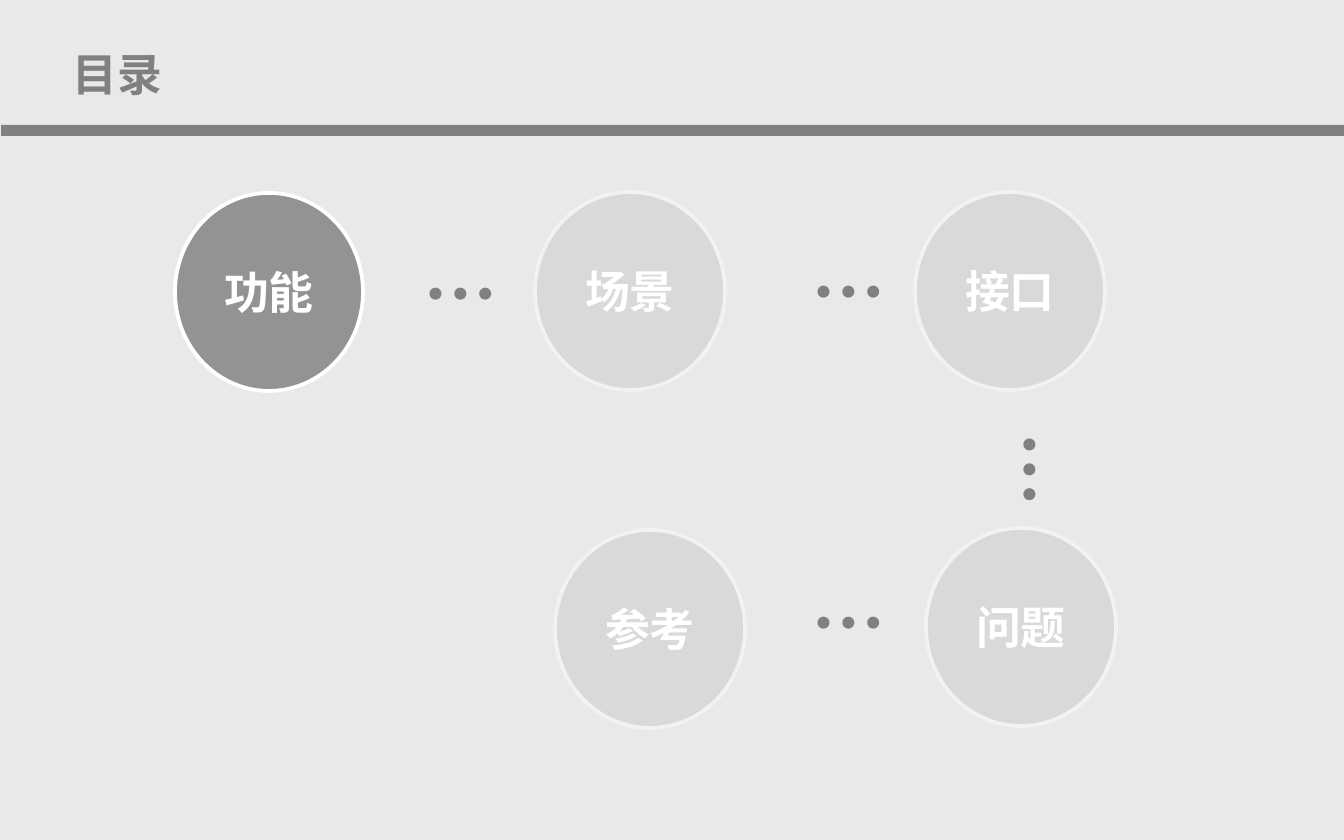
import pptx
import pptx.util
import pptx.dml.color
import pptx.enum.lang
import pptx.enum.shapes
import pptx.enum.text
import pptx.oxml.ns
import lxml.etree

WIDTH, HEIGHT = 1344, 840
EMU_PER_PIXEL = 9144000 / WIDTH
CJK_FONT = "Noto Sans CJK SC"
GRAY, WHITE, PALE, EDGE = "808080", "FFFFFF", "D9D9D9", "F2F2F2"
BACKGROUND = "E9E9E9"

TITLE = ("目录", (1, 47, 233, 54))
RULE = (1, 125, 1343, 11)
# Text, box, fill, outline, opacity in percent
CIRCLES = [
    ("功能", (175, 193, 188, 198), GRAY, WHITE, 81),
    ("场景", (535, 192, 190, 198), PALE, EDGE, 100),
    ("接口", (915, 192, 190, 198), PALE, EDGE, 100),
    ("问题", (926, 528, 190, 198), PALE, EDGE, 100),
    ("参考", (555, 530, 190, 198), PALE, EDGE, 100),
]
# Left, top, rotation
DOTS = [(410, 241, 0), (798, 239, 0), (988, 411, 90), (798, 570, 0)]
DOTS_SIZE = (86, 103)


def emu(box):
    """Turn pixel lengths into EMU."""
    return [pptx.util.Emu(round(length * EMU_PER_PIXEL)) for length in box]


def color(value):
    """Turn a hex string into a colour."""
    return pptx.dml.color.RGBColor.from_string(value)


def write(shape, text, size, font_name, font_color):
    """Put one bold, centred paragraph into a shape."""
    paragraph = shape.text_frame.paragraphs[0]
    paragraph.text = text
    paragraph.alignment = pptx.enum.text.PP_ALIGN.CENTER
    font = paragraph.font
    font.name, font.size, font.bold = font_name, pptx.util.Pt(size), True
    font.color.rgb = color(font_color)
    font.language_id = pptx.enum.lang.MSO_LANGUAGE_ID.SIMPLIFIED_CHINESE
    properties = paragraph._p.pPr.find(pptx.oxml.ns.qn("a:defRPr"))
    east_asian = lxml.etree.Element(pptx.oxml.ns.qn("a:ea"), typeface=CJK_FONT)
    properties.find(pptx.oxml.ns.qn("a:latin")).addnext(east_asian)


def add_shape(slide, kind, box, fill, opacity=100):
    """Add a filled preset shape without outline or shadow."""
    shape = slide.shapes.add_shape(kind, *emu(box))
    shape.shadow.inherit = False
    shape.fill.solid()
    shape.fill.fore_color.rgb = color(fill)
    shape.line.fill.background()
    if opacity < 100:
        fill_color = shape._element.spPr.find(
            pptx.oxml.ns.qn("a:solidFill"))[0]
        lxml.etree.SubElement(fill_color, pptx.oxml.ns.qn("a:alpha"),
                              val=str(opacity * 1000))
    return shape


def add_text(slide, box, text, size):
    """Add a wrapping grey text box that grows with its text."""
    shape = slide.shapes.add_textbox(*emu(box))
    frame = shape.text_frame
    frame.word_wrap = True
    frame.auto_size = pptx.enum.text.MSO_AUTO_SIZE.SHAPE_TO_FIT_TEXT
    write(shape, text, size, CJK_FONT, GRAY)
    return shape


def add_title(slide):
    """Add the heading and the rule below it."""
    add_shape(slide, pptx.enum.shapes.MSO_SHAPE.RECTANGLE, RULE, GRAY)
    text, box = TITLE
    frame = add_text(slide, box, text, 24).text_frame
    frame.vertical_anchor = pptx.enum.text.MSO_ANCHOR.MIDDLE
    frame.margin_left = frame.margin_right = 0
    frame.margin_top = frame.margin_bottom = 0


def add_circle(slide, text, box, fill, outline, opacity):
    """Add one labelled topic circle."""
    circle = add_shape(slide, pptx.enum.shapes.MSO_SHAPE.OVAL, box, fill,
                       opacity)
    circle.line.color.rgb = color(outline)
    circle.line.width = pptx.util.Pt(2)
    circle.text_frame.vertical_anchor = pptx.enum.text.MSO_ANCHOR.MIDDLE
    write(circle, text, 24, "Arial", WHITE)


def main():
    """Build and save the slide."""
    presentation = pptx.Presentation()
    presentation.slide_width, presentation.slide_height = emu((WIDTH, HEIGHT))
    slide = presentation.slides.add_slide(presentation.slide_layouts[6])
    slide.background.fill.solid()
    slide.background.fill.fore_color.rgb = color(BACKGROUND)
    add_title(slide)
    for circle in CIRCLES:
        add_circle(slide, *circle)
    for left, top, rotation in DOTS:
        dots = add_text(slide, (left, top, *DOTS_SIZE), "…", 40)
        dots.rotation = rotation
    presentation.save("out.pptx")


main()
